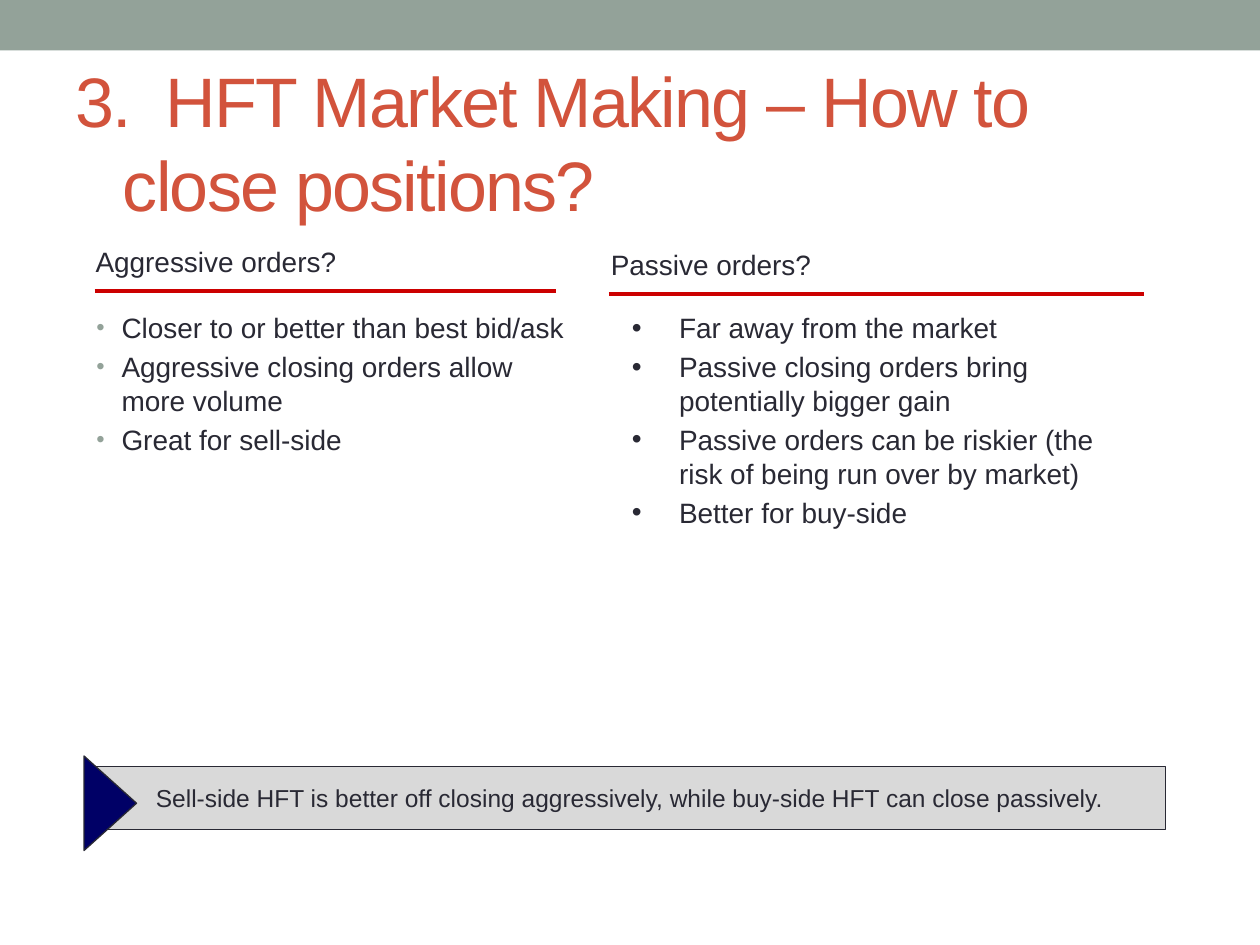
"""Build the slide on closing high-frequency market-making positions."""
from dataclasses import dataclass

from lxml.etree import SubElement
from pptx import Presentation
from pptx.dml.color import RGBColor
from pptx.enum.shapes import MSO_CONNECTOR as Connector, MSO_SHAPE as Shape
from pptx.enum.text import MSO_ANCHOR as Anchor, MSO_AUTO_SIZE as AutoSize, PP_ALIGN as Align
from pptx.oxml.ns import qn
from pptx.util import Pt


@dataclass(frozen=True)
class Theme:
    font: str = "Arial"
    title_size: float = 40
    body_size: float = 16
    note_size: float = 14
    title: str = "D2533C"
    ink: str = "292934"
    bar: str = "93A299"
    rule: str = "CC0000"
    panel: str = "D9D9D9"
    arrow: str = "000066"


@dataclass(frozen=True)
class Column:
    heading: str
    heading_left: float
    heading_top: float
    heading_width: float
    rule_left: float
    rule_right: float
    rule_top: float
    body_left: float
    indent: float
    points: tuple[str, ...]
    bullet_color: str | None = None
    bullet_scale: int | None = None


THEME = Theme()
BODY_TOP, BODY_WIDTH, BODY_HEIGHT = 174, 282.5, 240
HEADING_HEIGHT = 26.6

COLUMNS = (
    Column("Aggressive orders?", 47.5, 136, 153.5, 54, 317.5, 166.3, 48, 14.4,
           ("Closer to or better than best bid/ask",
            "Aggressive closing orders allow more volume",
            "Great for sell-side"), THEME.bar, 85),
    Column("Passive orders?", 342, 138, 130.5, 348, 654, 168, 354, 27,
           ("Far away from the market",
            "Passive closing orders bring potentially bigger gain",
            "Passive orders can be riskier (the risk of being run over by market)",
            "Better for buy-side")),
)


def style_font(para, size: float, color: str) -> None:
    for span in para.runs:
        span.font.name = THEME.font
        span.font.size = Pt(size)
        span.font.color.rgb = RGBColor.from_string(color)


def set_hanging(para, indent: float):
    properties = para._p.get_or_add_pPr()
    properties.set("marL", str(Pt(indent)))
    properties.set("indent", str(-Pt(indent)))
    return properties


def add_bullet(para, column: Column) -> None:
    properties = set_hanging(para, column.indent)
    if column.bullet_color:
        color = SubElement(properties, qn("a:buClr"))
        SubElement(color, qn("a:srgbClr"), val=column.bullet_color)
    if column.bullet_scale:
        SubElement(properties, qn("a:buSzPct"), val=str(column.bullet_scale * 1000))
    SubElement(properties, qn("a:buFont"), typeface=THEME.font)
    SubElement(properties, qn("a:buChar"), char="•")


def add_block(page, kind, left: float, top: float, width: float, height: float,
              fill: str, outlined: bool = True):
    block = page.shapes.add_shape(kind, Pt(left), Pt(top), Pt(width), Pt(height))
    block.shadow.inherit = False
    block.fill.solid()
    block.fill.fore_color.rgb = RGBColor.from_string(fill)
    if outlined:
        block.line.color.rgb = RGBColor.from_string(THEME.ink)
        block.line.width = Pt(0.75)
    else:
        block.line.fill.background()
    return block


def add_title(page, text: str) -> None:
    title = page.shapes.title
    title.left, title.top, title.width, title.height = Pt(36), Pt(42), Pt(648), Pt(78)
    frame = title.text_frame
    frame.text = text
    frame.auto_size = AutoSize.NONE
    frame.vertical_anchor = Anchor.MIDDLE
    para = frame.paragraphs[0]
    para.alignment = Align.LEFT
    set_hanging(para, 27)
    style_font(para, THEME.title_size, THEME.title)
    for span in para.runs:
        span.font._element.set("spc", "-100")


def add_rule(page, left: float, right: float, top: float) -> None:
    rule = page.shapes.add_connector(Connector.STRAIGHT, Pt(left), Pt(top), Pt(right), Pt(top))
    rule.line.color.rgb = RGBColor.from_string(THEME.rule)
    rule.line.width = Pt(2.25)
    SubElement(rule._element.spPr, qn("a:effectLst"))


def add_column(page, column: Column) -> None:
    add_rule(page, column.rule_left, column.rule_right, column.rule_top)
    heading = page.shapes.add_textbox(Pt(column.heading_left), Pt(column.heading_top),
                                      Pt(column.heading_width), Pt(HEADING_HEIGHT))
    heading.text_frame.text = column.heading
    heading.text_frame.word_wrap = False
    heading.text_frame.auto_size = AutoSize.SHAPE_TO_FIT_TEXT
    style_font(heading.text_frame.paragraphs[0], THEME.body_size, THEME.ink)

    body = page.shapes.add_textbox(Pt(column.body_left), Pt(BODY_TOP),
                                   Pt(BODY_WIDTH), Pt(BODY_HEIGHT))
    frame = body.text_frame
    frame.word_wrap = True
    frame.text = "\n".join(column.points)
    for index, para in enumerate(frame.paragraphs):
        add_bullet(para, column)
        if index:
            para.space_before = Pt(0.2 * THEME.body_size)
        style_font(para, THEME.body_size, THEME.ink)


def add_takeaway(page, text: str) -> None:
    panel = add_block(page, Shape.RECTANGLE, 54, 438, 612, 36, THEME.panel)
    frame = panel.text_frame
    frame.text = text
    frame.word_wrap = True
    frame.vertical_anchor = Anchor.MIDDLE
    frame.paragraphs[0].alignment = Align.CENTER
    style_font(frame.paragraphs[0], THEME.note_size, THEME.ink)
    arrow = add_block(page, Shape.ISOSCELES_TRIANGLE, 36, 444, 54, 30, THEME.arrow)
    arrow.rotation = 90


def main() -> None:
    deck = Presentation()
    deck.slide_width, deck.slide_height = Pt(720), Pt(540)
    page = deck.slides.add_slide(deck.slide_layouts[5])
    add_block(page, Shape.RECTANGLE, 0, 0, 720, 28.8, THEME.bar, outlined=False)
    add_title(page, "3.  HFT Market Making – How to close positions?")
    add_takeaway(page, "Sell-side HFT is better off closing aggressively, "
                       "while buy-side HFT can close passively.")
    for column in COLUMNS:
        add_column(page, column)
    deck.save("out.pptx")


if __name__ == "__main__":
    main()
